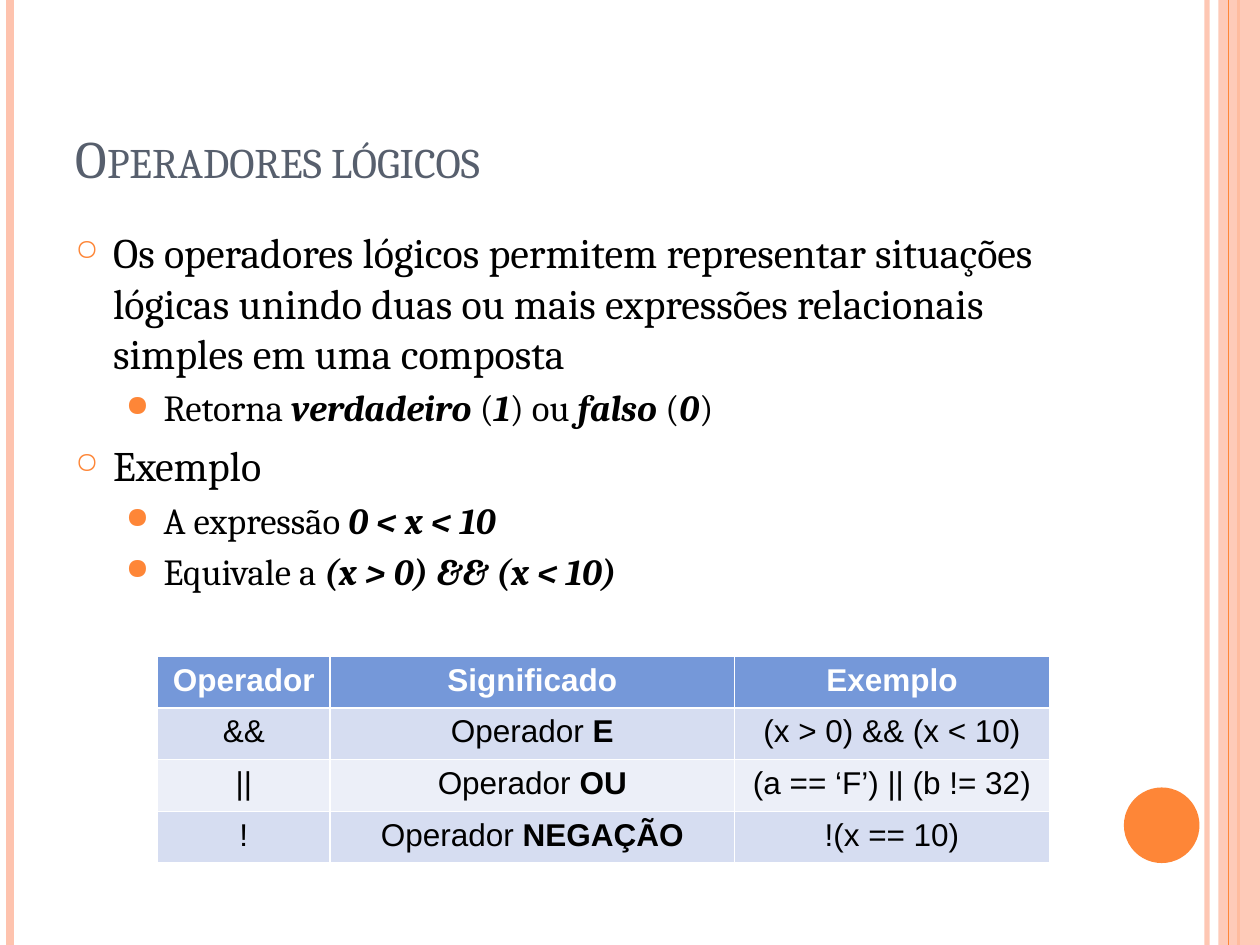
from lxml import etree
from pptx import Presentation, util as u
from pptx.dml.color import RGBColor
from pptx.enum import shapes, text
from pptx.oxml.ns import qn

TITLE = "Operadores lógicos"
POINTS = [
    (0, "Os operadores lógicos permitem representar situações lógicas "
        "unindo duas ou mais expressões relacionais simples em uma composta"),
    (1, "Retorna *verdadeiro* (*1*) ou *falso* (*0*)"),
    (0, "Exemplo"),
    (1, "A expressão *0 < x < 10*"),
    (1, "Equivale a *(x > 0) && (x < 10)*"),
]
LEVELS = [
    dict(size=24, left=0.3, before=6, bullet="○", scale=70),
    dict(size=21, left=0.7, before=4.2, bullet="●", scale=80),
]
OPERATORS = [
    ("Operador", "Significado", "Exemplo"),
    ("&&", "Operador* E*", "(x > 0) && (x < 10)"),
    ("||", "Operador *OU*", "(a == ‘F’) || (b != 32)"),
    ("!", "Operador *NEGAÇÃO*", "!(x == 10)"),
]
COLUMN_WIDTHS = [1.37, 3.21, 2.5]
ROW_HEIGHT = 0.41
HEADER, BANDS = "7598D9", ["ECEFF8", "D6DDF1"]
ORANGE, PEACH = "FE8637", "FEC3AE"
BACK_RULES = [(9.58, PEACH, 3, 93), (0.08, PEACH, 4.5, 100), (9.83, ORANGE, 1.5, 100)]
FRONT_RULES = [(9.75, ORANGE, 0.75, 100)]


def paint(target, color, opacity=100):
    target.solid()
    target.fore_color.rgb = RGBColor.from_string(color)
    if opacity < 100:
        clr = target._xPr.find(".//" + qn("a:srgbClr"))
        etree.SubElement(clr, qn("a:alpha"), val=str(opacity * 1000))


def style(font, name, size, color):
    font.name, font.size = name, u.Pt(size)
    font.color.rgb = RGBColor.from_string(color)


def add_rules(slide, rules):
    for x, color, width, opacity in rules:
        rule = slide.shapes.add_connector(
            shapes.MSO_CONNECTOR.STRAIGHT, u.Inches(x), 0, u.Inches(x), u.Inches(7.5))
        rule.line.width = u.Pt(width)
        paint(rule.line.fill, color, opacity)
        etree.SubElement(rule._element.spPr, qn("a:effectLst"))


def add_block(slide, kind, box, color, opacity=100):
    block = slide.shapes.add_shape(kind, *map(u.Inches, box))
    block.shadow.inherit = False
    paint(block.fill, color, opacity)
    block.line.fill.background()


def add_runs(paragraph, marked, italic):
    for i, part in enumerate(marked.split("*")):
        if part:
            run = paragraph.add_run()
            run.text = part
            if i % 2:
                run.font.bold = True
                run.font.italic = italic


def set_bullet(paragraph, level):
    props = paragraph._p.get_or_add_pPr()
    props.set("marL", str(u.Inches(level["left"])))
    props.set("indent", str(-u.Inches(0.3)))
    color = etree.SubElement(props, qn("a:buClr"))
    etree.SubElement(color, qn("a:srgbClr"), val=ORANGE)
    etree.SubElement(props, qn("a:buSzPct"), val=str(level["scale"] * 1000))
    etree.SubElement(props, qn("a:buChar"), char=level["bullet"])


def add_title(slide):
    title = slide.shapes.title
    title.left, title.top, title.width, title.height = map(u.Inches, (0.5, 0.3, 8.17, 1.25))
    title.text_frame.vertical_anchor = text.MSO_ANCHOR.BOTTOM
    paragraph = title.text_frame.paragraphs[0]
    paragraph.alignment = text.PP_ALIGN.LEFT
    run = paragraph.add_run()
    run.text = TITLE
    style(run.font, "Cambria", 30, "575F6D")
    run.font._element.set("cap", "small")


def add_points(slide):
    frame = slide.shapes.add_textbox(*map(u.Inches, (0.5, 1.75, 8.17, 5.33))).text_frame
    frame.word_wrap = True
    for i, (depth, marked) in enumerate(POINTS):
        paragraph = frame.add_paragraph() if i else frame.paragraphs[0]
        level = LEVELS[depth]
        paragraph.level = depth
        paragraph.space_before = u.Pt(level["before"])
        set_bullet(paragraph, level)
        style(paragraph.font, "Cambria", level["size"], "000000")
        add_runs(paragraph, marked, True)


def add_operators(slide):
    rows, cols = len(OPERATORS), len(COLUMN_WIDTHS)
    box = (1.25, 5.21, sum(COLUMN_WIDTHS), rows * ROW_HEIGHT)
    table = slide.shapes.add_table(rows, cols, *map(u.Inches, box)).table
    for column, width in zip(table.columns, COLUMN_WIDTHS):
        column.width = u.Inches(width)
    for r, row in enumerate(OPERATORS):
        table.rows[r].height = u.Inches(ROW_HEIGHT)
        for c, marked in enumerate(row):
            cell = table.cell(r, c)
            paint(cell.fill, BANDS[r % 2] if r else HEADER)
            paragraph = cell.text_frame.paragraphs[0]
            paragraph.alignment = text.PP_ALIGN.CENTER
            style(paragraph.font, "Arial", 18, "000000" if r else "FFFFFF")
            paragraph.font.bold = r == 0
            add_runs(paragraph, marked, None)


def main():
    """Build the slide on logical operators."""
    deck = Presentation()
    deck.slide_width, deck.slide_height = u.Inches(10), u.Inches(7.5)
    slide = deck.slides.add_slide(deck.slide_layouts[5])
    add_rules(slide, BACK_RULES)
    add_block(slide, shapes.MSO_SHAPE.RECTANGLE, (9.67, 0, 0.33, 7.5), PEACH, 87)
    add_rules(slide, FRONT_RULES)
    add_block(slide, shapes.MSO_SHAPE.OVAL, (8.92, 6.25, 0.6, 0.6), ORANGE)
    add_title(slide)
    add_points(slide)
    add_operators(slide)
    deck.save("out.pptx")


if __name__ == "__main__":
    main()
